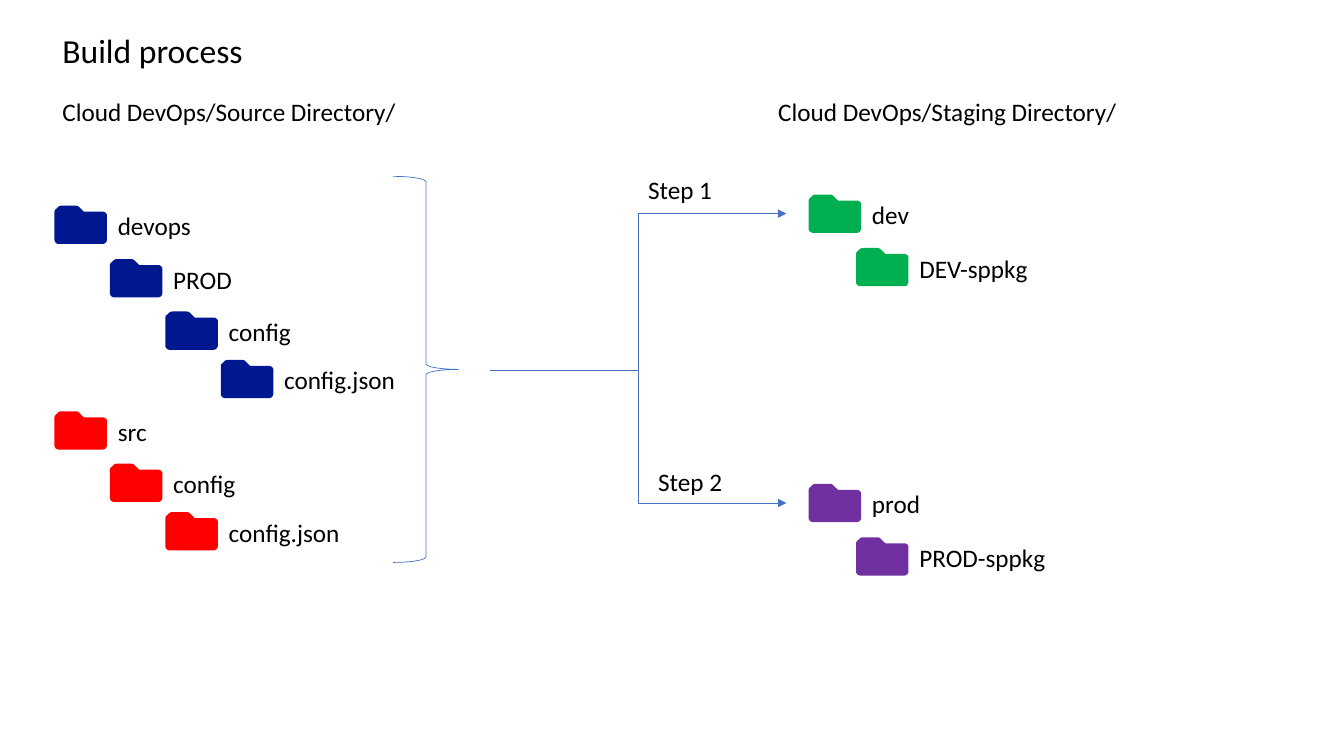
"""Build the "Build process" slide: source folders packaged into two staging folders."""
from dataclasses import dataclass
from typing import NamedTuple

from lxml.etree import SubElement
from pptx import Presentation
from pptx.dml.color import RGBColor
from pptx.enum.shapes import MSO_CONNECTOR as Connector, MSO_SHAPE as Preset
from pptx.enum.text import MSO_AUTO_SIZE as AutoSize
from pptx.oxml.ns import qn
from pptx.slide import Slide
from pptx.util import Inches, Pt


@dataclass(frozen=True)
class Theme:
    """Colours, font and sizes of the slide."""
    font: str = "Calibri"
    title_size: int = 24
    body_size: int = 18
    line_width: float = 0.5
    text: str = "000000"
    line: str = "4472C4"
    devops: str = "00188F"
    source: str = "FF0000"
    dev: str = "00B050"
    prod: str = "7030A0"


class Point(NamedTuple):
    """Position in inches."""
    x: float
    y: float


class Label(NamedTuple):
    """Text box in inches."""
    text: str
    left: float
    top: float
    width: float
    height: float = 0.4
    size: int = Theme.body_size


class Folder(NamedTuple):
    """Folder name and its top in inches."""
    name: str
    top: float


class FolderTree(NamedTuple):
    """Folders that each sit one level deeper than the one before."""
    left: float
    indent: float
    colour: str
    folders: tuple[Folder, ...]


THEME = Theme()
FOLDER_WIDTH = 0.55
LABEL_DROP = 0.02
LABEL_WIDTH = 1.83
CURVE_STEPS = 6
FORK = Point(4.86, 3.67)
ARROW_TIPS = (Point(7.8, 2.12), Point(7.8, 4.99))

LABELS = (
    Label("Build process", 0.52, 0.25, 2.01, 0.5, THEME.title_size),
    Label("Cloud DevOps/Source Directory/", 0.52, 0.91, 3.91),
    Label("Cloud DevOps/Staging Directory/", 7.62, 0.91, 3.91),
    Label("Step 1", 6.33, 1.68, 1.46),
    Label("Step 2", 6.43, 4.58, 1.46),
)

TREES = (
    FolderTree(0.52, 0.55, THEME.devops, (
        Folder("devops", 2.02), Folder("PROD", 2.55),
        Folder("config", 3.07), Folder("config.json", 3.55))),
    FolderTree(0.52, 0.55, THEME.source, (
        Folder("src", 4.06), Folder("config", 4.58), Folder("config.json", 5.06))),
    FolderTree(8, 0.47, THEME.dev, (Folder("dev", 1.91), Folder("DEV-sppkg", 2.44))),
    FolderTree(8, 0.47, THEME.prod, (Folder("prod", 4.78), Folder("PROD-sppkg", 5.31))),
)

FOLDER_CORNERS = (
    (Point(0.11, 0.02), Point(0.09, 0.02), Point(0.07, 0.02), Point(0.06, 0.03)),
    (Point(0.04, 0.05), Point(0.02, 0.06), Point(0.02, 0.08), Point(0.02, 0.09)),
    (Point(0.02, 0.36), Point(0.02, 0.38), Point(0.04, 0.4), Point(0.06, 0.4)),
    (Point(0.5, 0.4), Point(0.52, 0.4), Point(0.54, 0.38), Point(0.54, 0.36)),
    (Point(0.54, 0.11), Point(0.54, 0.1), Point(0.52, 0.08), Point(0.5, 0.08)),
    (Point(0.32, 0.08), Point(0.31, 0.08), Point(0.31, 0.08), Point(0.3, 0.07)),
    (Point(0.26, 0.03), Point(0.25, 0.02), Point(0.23, 0.02), Point(0.21, 0.02)),
)


def curve(corner: tuple[Point, ...]) -> list[Point]:
    """Sample a cubic Bezier curve."""
    samples = []
    for step in range(CURVE_STEPS + 1):
        t = step / CURVE_STEPS
        weights = ((1 - t) ** 3, 3 * t * (1 - t) ** 2, 3 * t ** 2 * (1 - t), t ** 3)
        samples.append(Point(sum(w * p.x for w, p in zip(weights, corner)),
                             sum(w * p.y for w, p in zip(weights, corner))))
    return samples


def add_label(page: Slide, label: Label) -> None:
    """Add a line of text."""
    box = page.shapes.add_textbox(Inches(label.left), Inches(label.top),
                                  Inches(label.width), Inches(label.height))
    frame = box.text_frame
    frame.text = label.text
    frame.word_wrap = True
    frame.auto_size = AutoSize.SHAPE_TO_FIT_TEXT
    font = frame.paragraphs[0].runs[0].font
    font.name = THEME.font
    font.size = Pt(label.size)
    font.color.rgb = RGBColor.from_string(THEME.text)


def add_folder(page: Slide, left: float, top: float, colour: str) -> None:
    """Add a folder icon."""
    outline = [(Inches(left + point.x), Inches(top + point.y))
               for corner in FOLDER_CORNERS for point in curve(corner)]
    builder = page.shapes.build_freeform(*outline[0])
    builder.add_line_segments(outline[1:], close=True)
    icon = builder.convert_to_shape()
    icon.shadow.inherit = False
    icon.fill.solid()
    icon.fill.fore_color.rgb = RGBColor.from_string(colour)
    icon.line.fill.background()


def add_tree(page: Slide, tree: FolderTree) -> None:
    """Add a stepped run of folders with their names."""
    for depth, folder in enumerate(tree.folders):
        left = tree.left + depth * tree.indent
        add_folder(page, left, folder.top, tree.colour)
        add_label(page, Label(folder.name, left + FOLDER_WIDTH,
                              folder.top + LABEL_DROP, LABEL_WIDTH))


def add_brace(page: Slide) -> None:
    """Add the brace that gathers the source folders."""
    brace = page.shapes.add_shape(Preset.RIGHT_BRACE, Inches(3.9), Inches(1.75),
                                  Inches(0.65), Inches(3.83))
    brace.shadow.inherit = False
    brace.fill.background()
    brace.line.color.rgb = RGBColor.from_string(THEME.line)
    brace.line.width = Pt(THEME.line_width)


def add_arrow(page: Slide, start: Point, tip: Point) -> None:
    """Add an elbow arrow."""
    arrow = page.shapes.add_connector(Connector.ELBOW, Inches(start.x), Inches(start.y),
                                      Inches(tip.x), Inches(tip.y))
    arrow.line.color.rgb = RGBColor.from_string(THEME.line)
    arrow.line.width = Pt(THEME.line_width)
    SubElement(arrow.line._get_or_add_ln(), qn("a:tailEnd"), type="triangle")
    SubElement(arrow._element.spPr, qn("a:effectLst"))


def main() -> None:
    """Draw the slide and save it."""
    deck = Presentation()
    deck.slide_width, deck.slide_height = Inches(13.33), Inches(7.5)
    page = deck.slides.add_slide(deck.slide_layouts[6])
    for tree in TREES:
        add_tree(page, tree)
    add_brace(page)
    for tip in ARROW_TIPS:
        add_arrow(page, FORK, tip)
    for label in LABELS:
        add_label(page, label)
    deck.save("out.pptx")


main()
